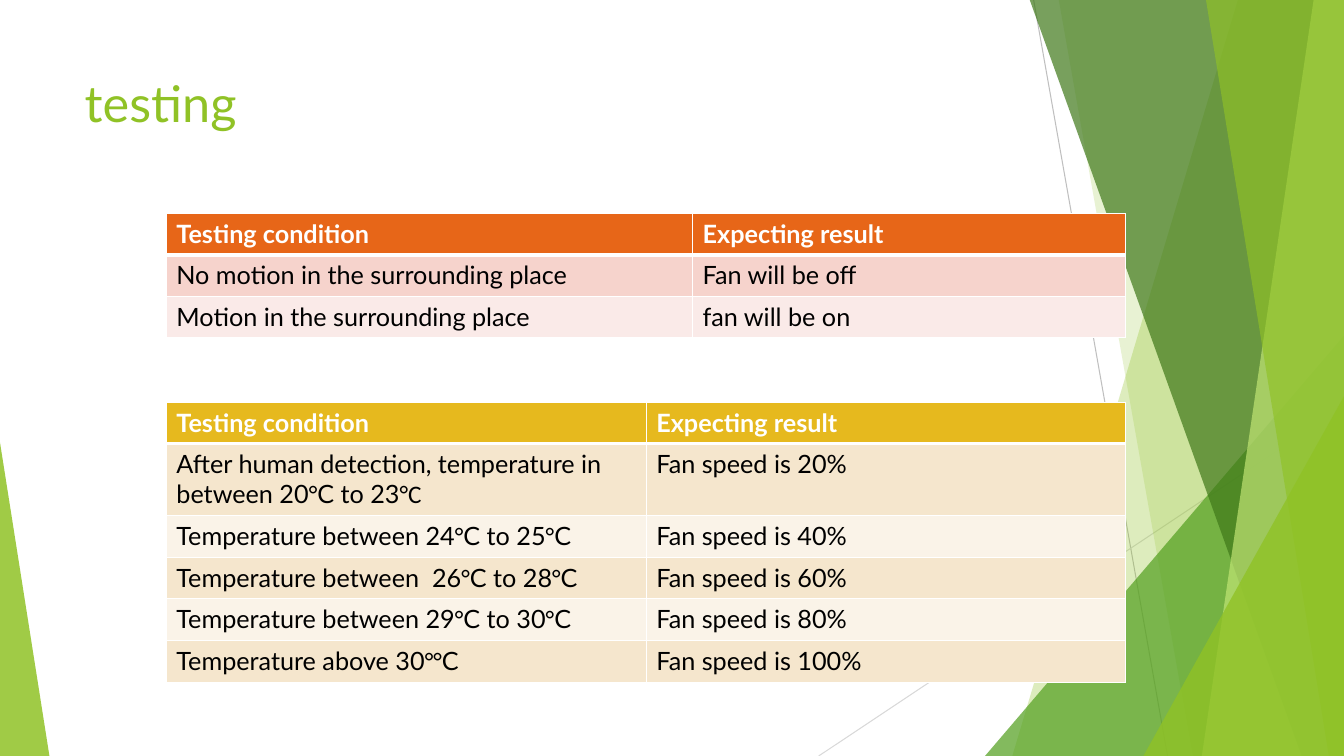
import pptx
import pptx.dml.color
import pptx.enum.shapes
import pptx.enum.text
import pptx.oxml.ns
import pptx.util
from dataclasses import dataclass
from itertools import cycle
from lxml import etree

Inches, Pt = pptx.util.Inches, pptx.util.Pt
qn = pptx.oxml.ns.qn
WIDE, HIGH = 13.33, 7.5


@dataclass(frozen=True)
class Theme:
    lime: str = "90C226"
    leaf: str = "54A021"
    moss: str = "3F7819"
    pale: str = "C0E474"
    white: str = "FFFFFF"
    black: str = "000000"
    greys: tuple = ("BFBFBF", "D9D9D9")
    red: tuple = ("E76618", "F6D3CC", "FAEAE8")
    gold: tuple = ("E6B91E", "F5E6CD", "FAF3E8")
    font: str = "Lato"
    sign: str = "Calibri"
    title: int = 36
    text: int = 18


THEME = Theme()

# A "|" switches between the text font and the sign font
MOTION = [
    ("Testing condition", "Expecting result"),
    ("No motion in the surrounding place", "Fan will be off"),
    ("Motion in the surrounding place", "fan will be on"),
]
SPEED = [
    ("Testing condition", "Expecting result"),
    ("After human detection, temperature in between 20|°|C to 23|°C", "Fan speed is 20%"),
    ("Temperature between 24|°|C to 25|°|C", "Fan speed is 40%"),
    ("Temperature between  26|°|C to 28|°|C", "Fan speed is 60%"),
    ("Temperature between 29|°|C to 30|°|C", "Fan speed is 80%"),
    ("Temperature above 30|°°|C", "Fan speed is 100%"),
]


def rgb(code):
    return pptx.dml.color.RGBColor.from_string(code)


def style(run, font, size, color, bold=False):
    run.font.name = font
    run.font.size = Pt(size)
    run.font.bold = bold
    run.font.color.rgb = rgb(color)


def tint(shape, color, alpha):
    shape.shadow.inherit = False
    shape.fill.solid()
    shape.fill.fore_color.rgb = rgb(color)
    shape.line.fill.background()
    code = shape.fill._xPr.find(".//" + qn("a:srgbClr"))
    etree.SubElement(code, qn("a:alpha"), val=str(alpha * 1000))


def add_line(slide, start, end, color):
    line = slide.shapes.add_connector(
        pptx.enum.shapes.MSO_CONNECTOR.STRAIGHT, *map(Inches, start + end))
    line.line.color.rgb = rgb(color)
    line.line.width = Pt(0.75)
    etree.SubElement(line._element.spPr, qn("a:effectLst"))


def add_band(slide, box, top, base, color, alpha):
    """Slanted band from the given top and base offsets to the right edge."""
    x, y, w, h = box
    pen = slide.shapes.build_freeform(Inches(x + top), Inches(y), 1.0)
    pen.add_line_segments([(Inches(a), Inches(b)) for a, b in
                           [(x + w, y), (x + w, y + h), (x + base, y + h)]])
    tint(pen.convert_to_shape(), color, alpha)


def add_wedge(slide, box, peak, color, alpha):
    wedge = slide.shapes.add_shape(
        pptx.enum.shapes.MSO_SHAPE.ISOSCELES_TRIANGLE, *map(Inches, box))
    wedge.adjustments[0] = peak
    tint(wedge, color, alpha)


def add_decor(slide, box):
    x, y, w, h = box
    right, floor = x + w, y + h

    def band(*args):
        add_band(slide, box, *args)

    def corner(wide, high, color, alpha):
        add_wedge(slide, (right - wide, floor - high, wide, high), 1, color, alpha)

    # Thin lines
    add_line(slide, (x + 0.48, y), (x + 1.81, floor), THEME.greys[0])
    add_line(slide, (right, y + 4.04), (x - 1.65, floor), THEME.greys[1])
    # Overlapping bands and corner wedges, back to front
    band(2.51, 0.27, THEME.lime, 30)
    band(0.73, 2.06, THEME.lime, 20)
    corner(3.56, 4.17, THEME.leaf, 72)
    band(0.44, 3.14, THEME.moss, 70)
    band(3.26, 2.15, THEME.pale, 70)
    band(2.19, 3.41, THEME.lime, 65)
    corner(1.99, 3.57, THEME.lime, 80)


def add_title(slide, box, text):
    title = slide.shapes.title
    title.left, title.top, title.width, title.height = map(Inches, box)
    frame = title.text_frame
    frame.text = text
    frame.vertical_anchor = pptx.enum.text.MSO_ANCHOR.TOP
    para = frame.paragraphs[0]
    para.alignment = pptx.enum.text.PP_ALIGN.LEFT
    style(para.runs[0], THEME.font, THEME.title, THEME.lime)


def add_edges(cell, row):
    props = cell._tc.get_or_add_tcPr()
    wide = {"T": 3 if row == 1 else 1, "B": 3 if row == 0 else 1}
    for spot, side in enumerate("LRTB"):
        edge = etree.Element(qn("a:ln" + side), w=str(Pt(wide.get(side, 1))))
        fill = etree.SubElement(edge, qn("a:solidFill"))
        etree.SubElement(fill, qn("a:srgbClr"), val=THEME.white)
        props.insert(spot, edge)


def fill_cell(cell, text, row, fills):
    cell.fill.solid()
    cell.fill.fore_color.rgb = rgb(fills[0] if row == 0 else fills[2 - row % 2])
    color = THEME.white if row == 0 else THEME.black
    para = cell.text_frame.paragraphs[0]
    for part, font in zip(text.split("|"), cycle([THEME.font, THEME.sign])):
        run = para.add_run()
        run.text = part
        style(run, font, THEME.text, color, row == 0)
    add_edges(cell, row)


def add_grid(slide, box, split, rows, fills):
    """Two-column table; split is the width of the first column."""
    x, y, w, h = box
    frame = slide.shapes.add_table(len(rows), 2, *map(Inches, box))
    table = frame.table
    for col, wide in zip(table.columns, (split, w - split)):
        col.width = Inches(wide)
    for r, row in enumerate(rows):
        table.rows[r].height = Inches(h / len(rows))
        for c, text in enumerate(row):
            fill_cell(table.cell(r, c), text, r, fills)


def main():
    deck = pptx.Presentation()
    deck.slide_width, deck.slide_height = Inches(WIDE), Inches(HIGH)
    slide = deck.slides.add_slide(deck.slide_layouts[5])
    # Background shapes
    add_decor(slide, (9.77, -0.01, WIDE - 9.77, HIGH + 0.01))
    add_wedge(slide, (0, 4.39, 0.49, 3.11), 0, THEME.lime, 85)
    # Title and the two tables
    add_title(slide, (0.74, 0.67, 9.4, 1.44), "testing")
    row = 0.41
    add_grid(slide, (1.65, 2.12, 9.51, row * len(MOTION)), 5.22, MOTION, THEME.red)
    add_grid(slide, (1.65, 3.99, 9.51, row * len(SPEED)), 4.76, SPEED, THEME.gold)
    deck.save("out.pptx")


if __name__ == "__main__":
    main()
